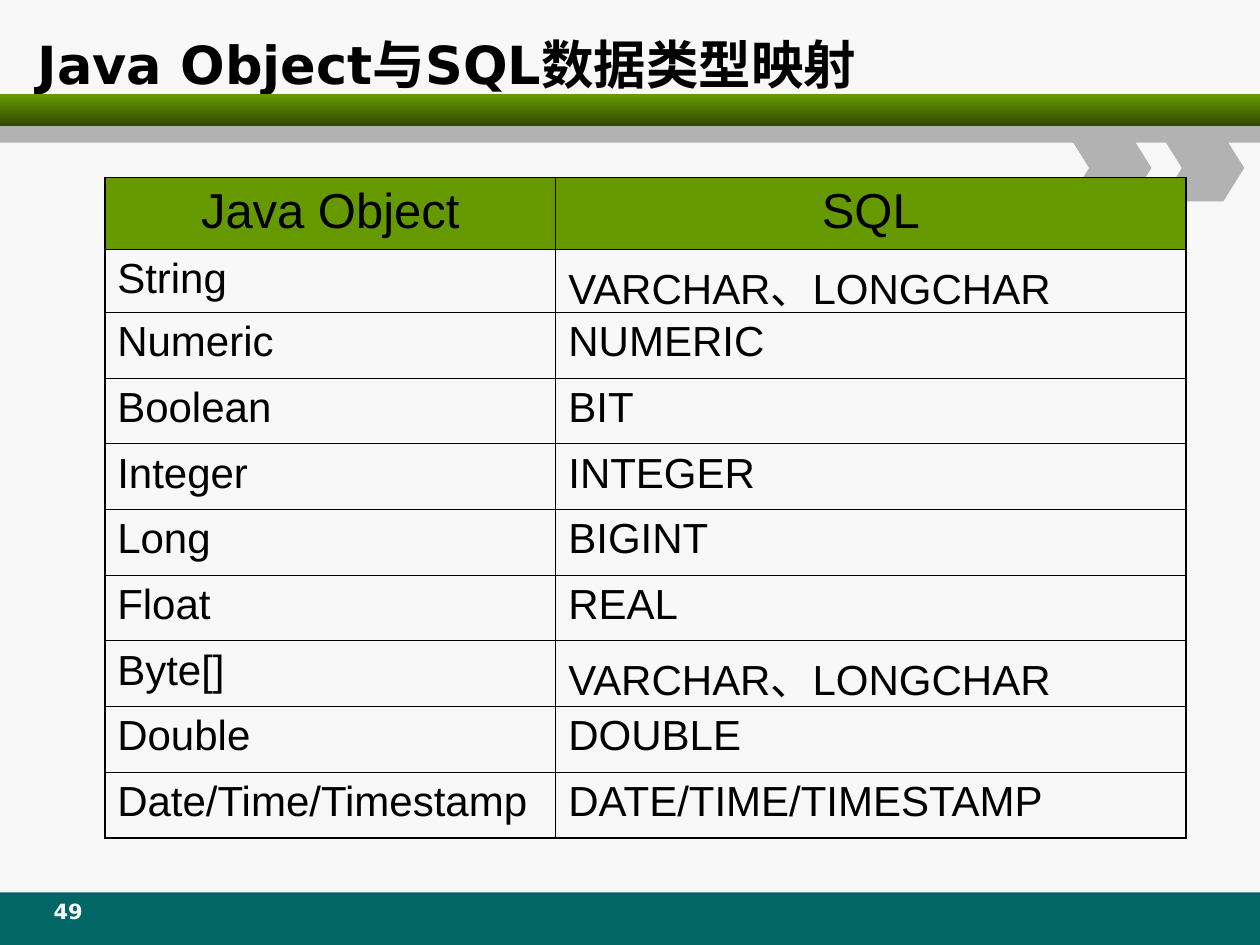
from lxml import etree
from pptx import Presentation
from pptx.dml.color import RGBColor
from pptx.enum.shapes import MSO_SHAPE
from pptx.enum.text import MSO_ANCHOR, MSO_AUTO_SIZE, PP_ALIGN
from pptx.oxml.ns import qn
from pptx.util import Pt

RECT = MSO_SHAPE.RECTANGLE
LEFT, CENTER = PP_ALIGN.LEFT, PP_ALIGN.CENTER
MIDDLE = MSO_ANCHOR.MIDDLE
NO_FIT = MSO_AUTO_SIZE.NONE

BLACK = RGBColor(0x00, 0x00, 0x00)
PALE = RGBColor(0xF8, 0xF8, 0xF8)
GREEN = RGBColor(0x66, 0x99, 0x00)
DARK_GREEN = RGBColor(0x2F, 0x47, 0x00)
GRAY = RGBColor(0xB2, 0xB2, 0xB2)
TEAL = RGBColor(0x00, 0x66, 0x66)

THIN, THICK = 0.45, 1.08

ROWS = [
    ("Java Object", "SQL"),
    ("String", "VARCHAR、LONGCHAR"),
    ("Numeric", "NUMERIC"),
    ("Boolean", "BIT"),
    ("Integer", "INTEGER"),
    ("Long", "BIGINT"),
    ("Float", "REAL"),
    ("Byte[]", "VARCHAR、LONGCHAR"),
    ("Double", "DOUBLE"),
    ("Date/Time/Timestamp", "DATE/TIME/TIMESTAMP"),
]


def write(tf, text, size, font="Arial", color=BLACK, bold=False, align=LEFT, before=0):
    p = tf.paragraphs[0]
    p.alignment = align
    p.space_before = Pt(before)
    r = p.add_run()
    r.text = text
    r.font.size = Pt(size)
    r.font.name = font
    r.font.bold = bold
    r.font.color.rgb = color


def paint(sp, color):
    sp.shadow.inherit = False
    sp.fill.solid()
    sp.fill.fore_color.rgb = color
    sp.line.fill.background()


def add_bar(s, x, y, w, h, color):
    sp = s.shapes.add_shape(RECT, Pt(x), Pt(y), Pt(w), Pt(h))
    paint(sp, color)
    return sp


def add_chevron(s, x, y, w, h):
    notch = w / 4
    points = [(x + w - notch, y), (x + w, y + h / 2), (x + w - notch, y + h),
              (x, y + h), (x + notch, y + h / 2)]
    builder = s.shapes.build_freeform(Pt(x), Pt(y))
    builder.add_line_segments([(Pt(px), Pt(py)) for px, py in points], close=True)
    paint(builder.convert_to_shape(), GRAY)


def add_header_band(s, x, y, w, h):
    green_h = h * 0.66
    sp = add_bar(s, x, y, w, green_h, GREEN)
    sp.fill.gradient()
    sp.fill.gradient_angle = 270
    for stop, color in zip(sp.fill.gradient_stops, (GREEN, DARK_GREEN)):
        stop.color.rgb = color
    add_bar(s, x, y + green_h, w, h - green_h, GRAY)
    for right in (62, 9):
        add_chevron(s, x + w - right - 47.5, y + 23, 47.5, 38)


def add_title(s, x, y, w, h, text):
    sp = s.shapes.title
    sp.left, sp.top, sp.width, sp.height = Pt(x), Pt(y), Pt(w), Pt(h)
    tf = sp.text_frame
    tf.auto_size = NO_FIT
    tf.word_wrap = True
    tf.vertical_anchor = MIDDLE
    write(tf, text, 30, font="DejaVu Sans", bold=True)


def add_footer(s, x, y, w, h, number):
    add_bar(s, x, y, w, h, TEAL)
    tf = s.shapes.add_textbox(Pt(x + 18), Pt(y), Pt(42), Pt(24)).text_frame
    tf.word_wrap = True
    write(tf, number, 12, font="DejaVu Sans", color=PALE, bold=True, align=CENTER)


def set_borders(cell, **widths):
    tc_pr = cell._tc.get_or_add_tcPr()
    for side, width in widths.items():
        ln = etree.SubElement(tc_pr, qn("a:ln" + side), w=str(Pt(width)))
        fill = etree.SubElement(ln, qn("a:solidFill"))
        etree.SubElement(fill, qn("a:srgbClr"), val=str(BLACK))


def add_mapping_table(s, x, y, w, h, rows):
    head_h, first_h = 41, 36
    row_h = (h - head_h - first_h) / (len(rows) - 2)
    table = s.shapes.add_table(len(rows), 2, Pt(x), Pt(y), Pt(w), Pt(h)).table
    table.horz_banding = False
    table.first_row = False
    for col, width in zip(table.columns, (w - 360, 360)):
        col.width = Pt(width)
    for i, row in enumerate(rows):
        table.rows[i].height = Pt((head_h, first_h)[i] if i < 2 else row_h)
        for j, text in enumerate(row):
            cell = table.cell(i, j)
            set_borders(cell, L=THIN if j else THICK, R=THICK if j else THIN,
                        T=THIN if i else THICK,
                        B=THICK if i == len(rows) - 1 else THIN)
            if i == 0:
                cell.fill.solid()
                cell.fill.fore_color.rgb = GREEN
                write(cell.text_frame, text, 28, align=CENTER, before=7)
            else:
                cell.fill.background()
                write(cell.text_frame, text, 24, before=6)


def main():
    prs = Presentation()
    prs.slide_width, prs.slide_height = Pt(720), Pt(540)
    s = prs.slides.add_slide(prs.slide_layouts[5])
    s.background.fill.solid()
    s.background.fill.fore_color.rgb = PALE
    add_header_band(s, 0, 54, 720, 27.5)
    add_title(s, 14.4, 12.2, 687.6, 48.2, "Java Object与SQL数据类型映射")
    add_footer(s, 0, 510, 720, 30, "49")
    add_mapping_table(s, 59.8, 101.5, 617.8, 377.3, ROWS)
    prs.save("out.pptx")


if __name__ == "__main__":
    main()
